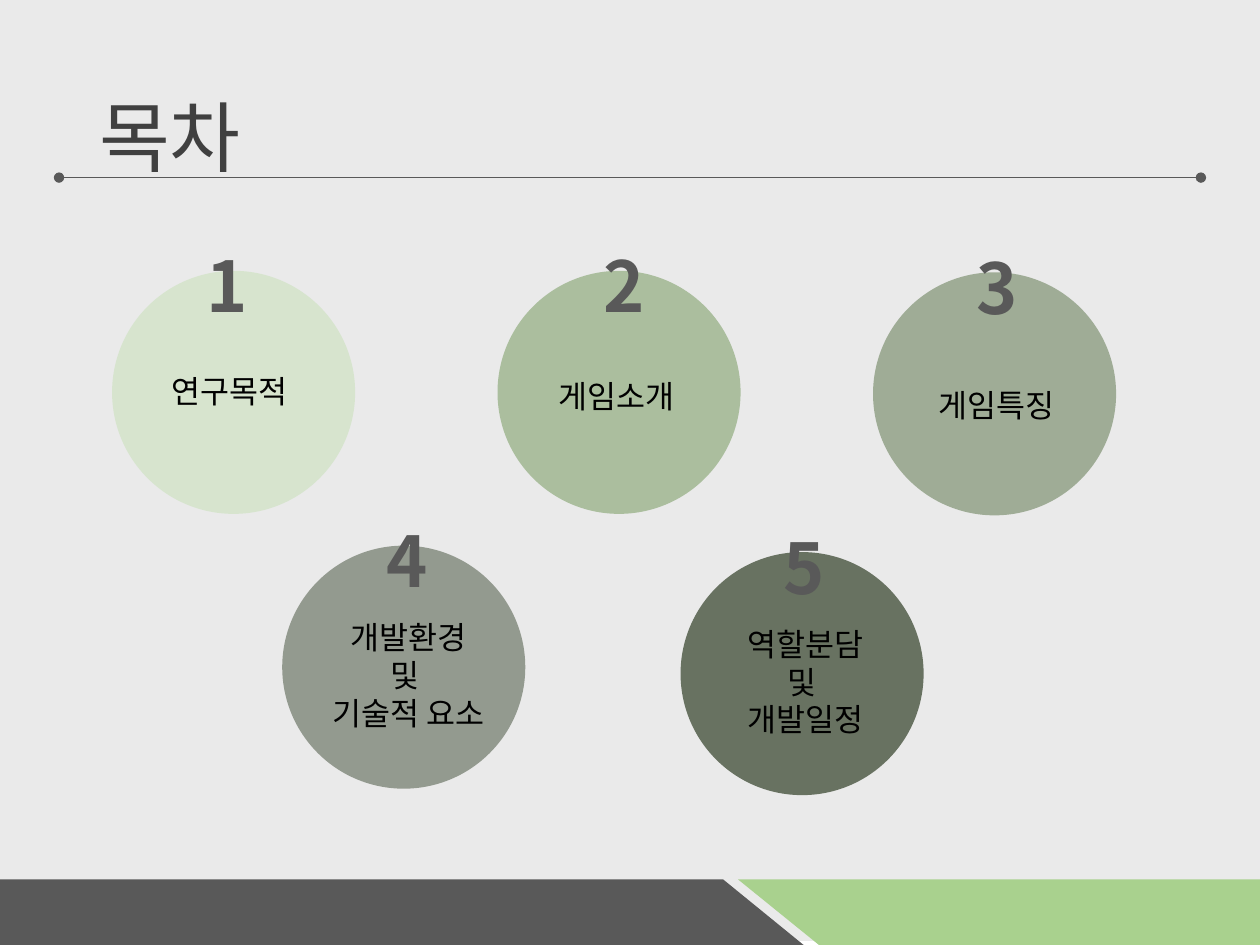
"""Build the contents slide: five numbered topic circles above a two-colour footer."""
from dataclasses import dataclass

from lxml import etree
from pptx import Presentation
from pptx import util as u
from pptx.dml.color import RGBColor
from pptx.enum import shapes, text
from pptx.oxml.ns import qn

TITLE = "목차"
# number, label lines, circle colour, opacity %, circle (left, top), number left, label (left, top, width)
TOPICS = [
    ("1", ["연구목적"], "C5E0B4", 51, (2.26, 5.46), 3.91, (2.41, 7.37, 4.42)),
    ("3", ["게임특징"], "385723", 42, (17.6, 5.49), 19.43, (17.5, 7.65, 5.18)),
    ("2", ["게임소개"], "548235", 42, (10.03, 5.46), 11.91, (9.83, 7.47, 5.18)),
    ("4", ["개발환경", "및 ", "기술적 요소"], "1D2C12", 42, (5.69, 11), 7.54, (5.64, 12.34, 5.18)),
    ("5", ["역할분담", "및 ", "개발일정"], "1D2C12", 63, (13.72, 11.13), 15.54, (13.64, 12.47, 5.18)),
]
WIDTH, HEIGHT = 25.4, 19.05
DIAMETER, NUMBER_RISE = 4.9, 0.69
FOOTER_TOP, RULE_TOP = 17.73, 3.58


@dataclass(frozen=True)
class Theme:
    font: str = "Noto Sans CJK KR"
    backdrop: str = "EAEAEA"
    title: str = "404040"
    dark: str = "595959"
    green: str = "A9D18E"
    label: str = "000000"
    title_size: int = 44
    number_size: int = 40
    label_size: int = 18


THEME = Theme()


def paint(shape, colour, opacity=100):
    shape.shadow.inherit = False
    shape.line.fill.background()
    shape.fill.solid()
    shape.fill.fore_color.rgb = RGBColor.from_string(colour)
    if opacity < 100:
        tint = shape.fill._xPr.find(qn("a:solidFill"))[0]
        etree.SubElement(tint, qn("a:alpha"), val=str(opacity * 1000))


def add_text(parent, place, lines, size, colour, bold=False, align=None):
    box = parent.shapes.add_textbox(*map(u.Cm, place))
    frame = box.text_frame
    frame.word_wrap = True
    for index, line in enumerate(lines):
        para = frame.paragraphs[0] if index == 0 else frame.add_paragraph()
        para.alignment = align
        span = para.add_run()
        span.text = line
        span.font.name, span.font.size, span.font.bold = THEME.font, u.Pt(size), bold
        span.font.color.rgb = RGBColor.from_string(colour)
        etree.SubElement(span.font._element, qn("a:ea"), typeface=THEME.font)
    return frame


def add_title(page):
    frame = add_text(page, (1.75, 1.02, 21.9, 3.68), [TITLE], THEME.title_size, THEME.title)
    frame.vertical_anchor = text.MSO_ANCHOR.MIDDLE
    frame.paragraphs[0].line_spacing = 0.9


def add_rule(page):
    margin = 1.19
    rule = page.shapes.add_connector(
        shapes.MSO_CONNECTOR.STRAIGHT,
        *map(u.Cm, (margin, RULE_TOP, WIDTH - margin, RULE_TOP)))
    rule.line.color.rgb = RGBColor.from_string(THEME.dark)
    rule.line.width = u.Pt(0.5)
    for end in ("a:headEnd", "a:tailEnd"):
        etree.SubElement(rule.line._ln, qn(end), type="oval")
    etree.SubElement(rule._element.spPr, qn("a:effectLst"))


def add_band(page, edge, top_x, bottom_x, colour):
    corners = [(edge, FOOTER_TOP), (top_x, FOOTER_TOP), (bottom_x, HEIGHT), (edge, HEIGHT)]
    points = [(u.Cm(x), u.Cm(y)) for x, y in corners]
    builder = page.shapes.build_freeform(*points[0])
    builder.add_line_segments(points[1:], close=True)
    paint(builder.convert_to_shape(), colour)


def add_topic(page, number, lines, colour, opacity, corner, number_left, label):
    group = page.shapes.add_group_shape()
    circle = group.shapes.add_shape(
        shapes.MSO_SHAPE.OVAL, *map(u.Cm, (*corner, DIAMETER, DIAMETER)))
    paint(circle, colour, opacity)
    add_text(group, (number_left, corner[1] - NUMBER_RISE, 1.6, 1.96), [number],
             THEME.number_size, THEME.dark, bold=True)
    label_height = 0.25 + 0.77 * len(lines)
    add_text(group, (*label, label_height), lines, THEME.label_size, THEME.label,
             align=text.PP_ALIGN.CENTER)


def main():
    deck = Presentation()
    deck.slide_width, deck.slide_height = u.Cm(WIDTH), u.Cm(HEIGHT)
    page = deck.slides.add_slide(deck.slide_layouts[6])
    backdrop = page.shapes.add_shape(
        shapes.MSO_SHAPE.RECTANGLE, *map(u.Cm, (0, 0, WIDTH, 18.97)))
    paint(backdrop, THEME.backdrop)
    add_title(page)
    add_band(page, 0, 14.58, 16.2, THEME.dark)
    add_rule(page)
    add_band(page, WIDTH, 14.88, 16.51, THEME.green)
    for topic in TOPICS:
        add_topic(page, *topic)
    deck.save("out.pptx")


if __name__ == "__main__":
    main()
